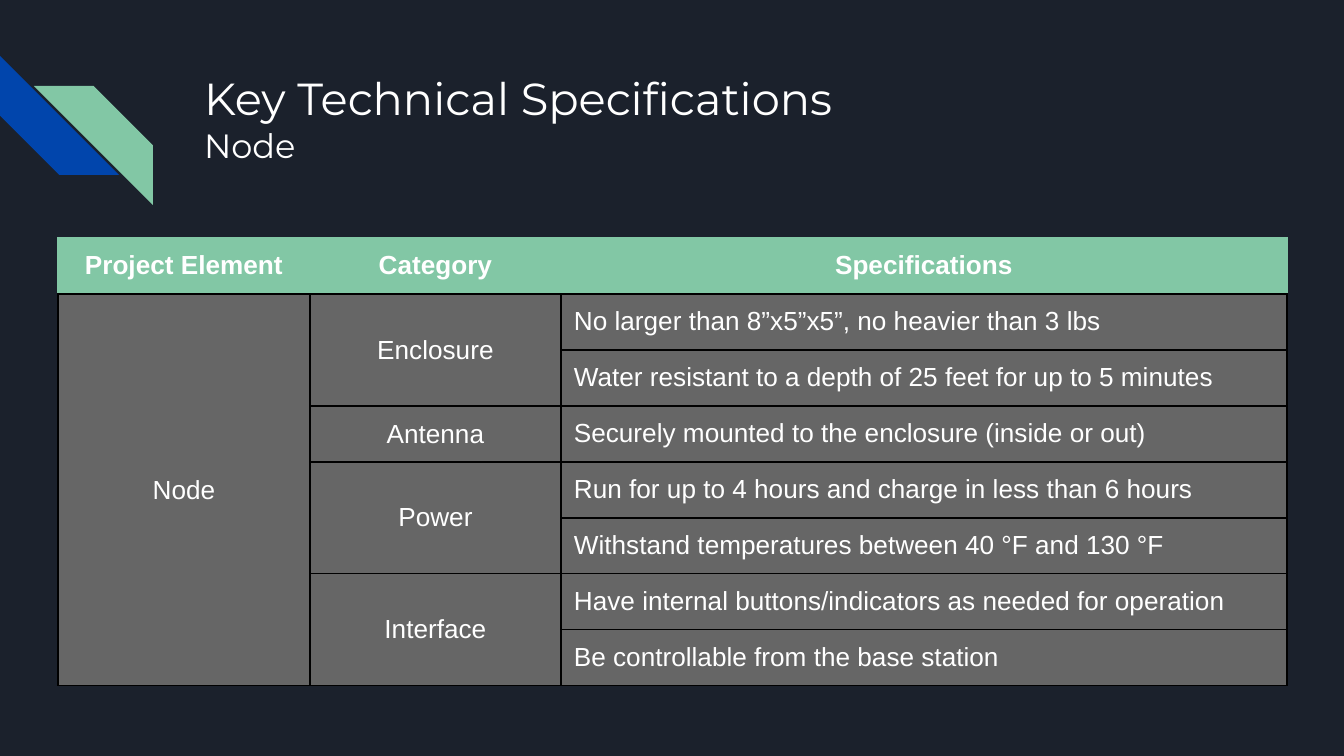
from dataclasses import dataclass

from lxml import etree
from pptx import Presentation
from pptx.dml.color import RGBColor
from pptx.enum.shapes import MSO_SHAPE
from pptx.enum.text import MSO_ANCHOR, PP_ALIGN
from pptx.oxml.ns import qn
from pptx.util import Emu, Pt

STRIPE = MSO_SHAPE.DIAGONAL_STRIPE
LEFT, CENTER = PP_ALIGN.LEFT, PP_ALIGN.CENTER
TOP, MIDDLE = MSO_ANCHOR.TOP, MSO_ANCHOR.MIDDLE
TITLE_ONLY = 5
PX = 914400 / 134.4


@dataclass(frozen=True)
class Theme:
    background: str = "1B212C"
    blue: str = "0145AC"
    green: str = "82C7A5"
    gray: str = "666666"
    white: str = "FFFFFF"
    black: str = "000000"
    heading_font: str = "Montserrat"
    body_font: str = "Arial"
    title_size: int = 24
    subtitle_size: int = 18
    table_size: int = 14
    border_width: float = 0.75
    inset: int = 13


def px(length):
    return Emu(round(length * PX))


def set_all(target, values):
    for name, value in values.items():
        setattr(target, name, value)


class SlideBuilder:
    def __init__(self, page, theme):
        self.page = page
        self.theme = theme
        self.paint(page.background, theme.background)

    def paint(self, target, color):
        target.fill.solid()
        target.fill.fore_color.rgb = RGBColor.from_string(color)

    def place(self, shape, left, top, width, height):
        set_all(shape, {"left": px(left), "top": px(top),
                        "width": px(width), "height": px(height)})

    def margins(self):
        sides = ("left", "right", "top", "bottom")
        return {f"margin_{side}": px(self.theme.inset) for side in sides}

    def add_text(self, para, text, font, size, align, bold=False):
        para.alignment = align
        span = para.add_run()
        span.text = text
        set_all(span.font, {"name": font, "size": Pt(size), "bold": bold})
        span.font.color.rgb = RGBColor.from_string(self.theme.white)

    def stripe(self, left, top, size, color, rotation=0, flipped=False):
        shape = self.page.shapes.add_shape(
            STRIPE, px(left), px(top), px(size), px(size))
        shape.adjustments[0] = 0.5
        shape.rotation = rotation
        shape.shadow.inherit = False
        self.paint(shape, color)
        shape.line.fill.background()
        if flipped:
            shape._element.spPr.xfrm.set("flipH", "1")

    def title(self, lines, left, top, width, height):
        box = self.page.shapes.title
        self.place(box, left, top, width, height)
        frame = box.text_frame
        set_all(frame, {"word_wrap": True, "vertical_anchor": TOP, **self.margins()})
        for index, (text, size) in enumerate(lines):
            para = frame.add_paragraph() if index else frame.paragraphs[0]
            self.add_text(para, text, self.theme.heading_font, size, LEFT)

    def borders(self, cell, colors):
        properties = cell._tc.get_or_add_tcPr()
        for side, color in zip("LRTB", colors):
            line = etree.SubElement(properties, qn(f"a:ln{side}"),
                                    w=str(Pt(self.theme.border_width)))
            fill = etree.SubElement(line, qn("a:solidFill"))
            etree.SubElement(fill, qn("a:srgbClr"), val=color)

    def cell(self, cell, text, header, align):
        theme = self.theme
        edge = theme.green if header else theme.black
        self.borders(cell, (edge, edge, edge, theme.black))
        self.paint(cell, theme.green if header else theme.gray)
        centered_body = align == CENTER and not header
        set_all(cell, {"vertical_anchor": MIDDLE if centered_body else TOP,
                       **self.margins()})
        if text:
            self.add_text(cell.text_frame.paragraphs[0], text, theme.body_font,
                          theme.table_size, align, header)

    def table(self, rows, left, top, widths, row_height):
        frame = self.page.shapes.add_table(
            len(rows), len(widths), px(left), px(top),
            px(sum(widths)), px(row_height * len(rows)))
        table = frame.table
        table.horz_banding = False
        for column, width in zip(table.columns, widths):
            column.width = px(width)
        for r, row in enumerate(rows):
            table.rows[r].height = px(row_height)
            for c, text in enumerate(row):
                align = LEFT if r and c == len(row) - 1 else CENTER
                self.cell(table.cell(r, c), text, r == 0, align)
        # Empty cells continue the labelled cell above them
        for c in range(len(widths)):
            starts = [r for r, row in enumerate(rows) if row[c]] + [len(rows)]
            for first, following in zip(starts, starts[1:]):
                if following - first > 1:
                    table.cell(first, c).merge(table.cell(following - 1, c))


SPECIFICATIONS = [
    ("Project Element", "Category", "Specifications"),
    ("Node", "Enclosure", "No larger than 8”x5”x5”, no heavier than 3 lbs"),
    ("", "", "Water resistant to a depth of 25 feet for up to 5 minutes"),
    ("", "Antenna", "Securely mounted to the enclosure (inside or out)"),
    ("", "Power", "Run for up to 4 hours and charge in less than 6 hours"),
    ("", "", "Withstand temperatures between 40 °F and 130 °F"),
    ("", "Interface", "Have internal buttons/indicators as needed for operation"),
    ("", "", "Be controllable from the base station"),
]


def main():
    theme = Theme()
    deck = Presentation()
    deck.slide_width, deck.slide_height = px(1344), px(756)
    page = deck.slides.add_slide(deck.slide_layouts[TITLE_ONLY])
    builder = SlideBuilder(page, theme)

    # Corner stripes
    builder.stripe(0, 56, 119, theme.blue, rotation=270)
    builder.stripe(34, 86, 119, theme.green, flipped=True)

    # Title and subtitle
    builder.title([("Key Technical Specifications", theme.title_size),
                   ("Node", theme.subtitle_size)], 191, 58, 1035, 134)

    # Specification table
    builder.table(SPECIFICATIONS, 58, 238, (252, 251, 726), 56)

    deck.save("out.pptx")


if __name__ == "__main__":
    main()
